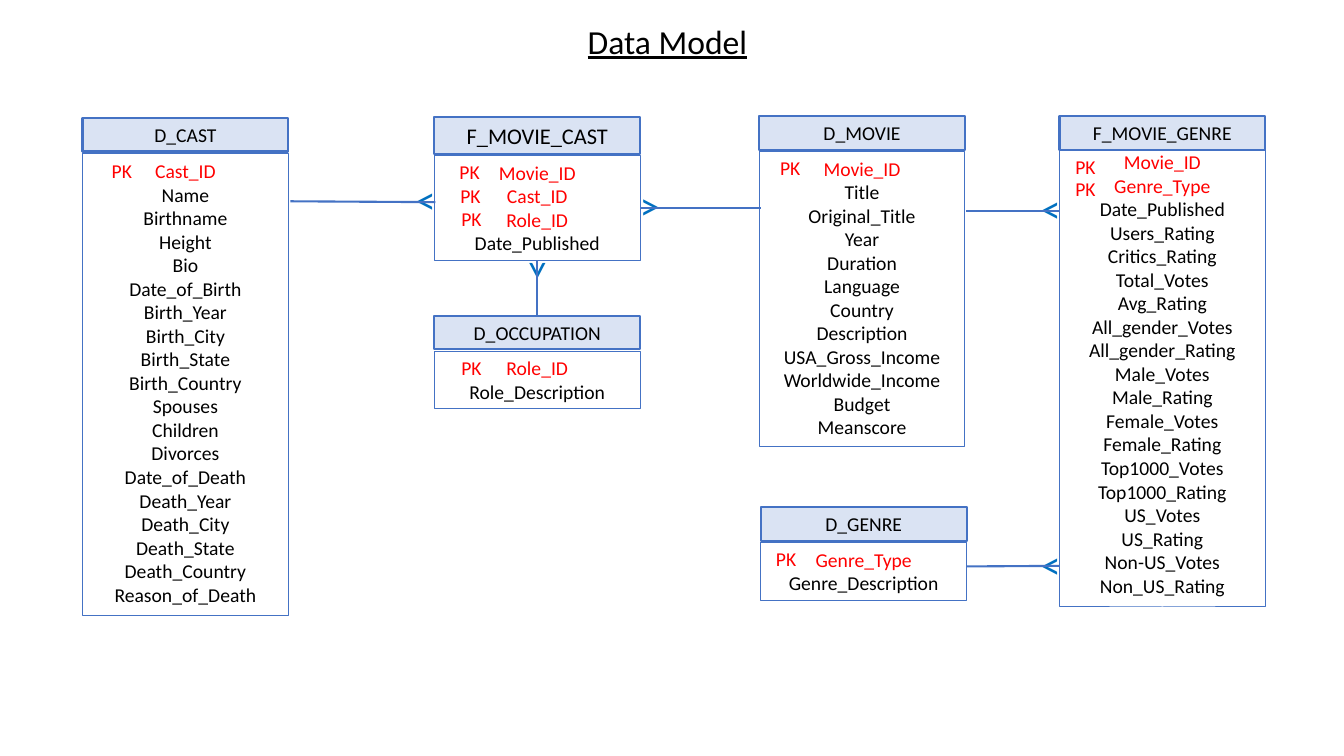
from lxml import etree
from pptx import Presentation
from pptx.dml.color import RGBColor
from pptx.enum.shapes import MSO_CONNECTOR, MSO_SHAPE
from pptx.enum.text import MSO_ANCHOR, PP_ALIGN
from pptx.oxml.ns import qn
from pptx.util import Pt

COLORS = {"text": "000000", "key": "FF0000", "header": "DAE3F3",
          "line": "4472C4", "crow": "0070C0"}
FONT = "Calibri"
TABLE_WIDTH = 147
ROW_HEIGHT = 17
PADDING = 7

TABLES = [
    ("D_CAST", 59, 84.2, 110, 14, ["Cast_ID"],
     "Name Birthname Height Bio Date_of_Birth Birth_Year Birth_City Birth_State "
     "Birth_Country Spouses Children Divorces Date_of_Death Death_Year Death_City "
     "Death_State Death_Country Reason_of_Death"),
    ("F_MOVIE_CAST", 310.3, 83.5, 111.3, 16, ["Movie_ID", "Cast_ID", "Role_ID"],
     "Date_Published"),
    ("D_MOVIE", 542.3, 82.8, 108.2, 14, ["Movie_ID"],
     "Title Original_Title Year Duration Language Country Description "
     "USA_Gross_Income Worldwide_Income Budget Meanscore"),
    ("D_GENRE", 543.5, 362.3, 387.8, 14, ["Genre_Type"], "Genre_Description"),
    ("D_OCCUPATION", 310.3, 225.4, 250.8, 14, ["Role_ID"], "Role_Description"),
    ("F_MOVIE_GENRE", 756.8, 82.8, 103.6, 14, ["Movie_ID", "Genre_Type"],
     "Date_Published Users_Rating Critics_Rating Total_Votes Avg_Rating "
     "All_gender_Votes All_gender_Rating Male_Votes Male_Rating Female_Votes "
     "Female_Rating Top1000_Votes Top1000_Rating US_Votes US_Rating "
     "Non-US_Votes Non_US_Rating"),
]
KEY_MARKS = [(321.1, 111), (321.8, 128), (322.4, 144.2), (72.7, 110.2), (322.4, 250.8),
             (547.2, 387), (550.1, 108), (761, 107), (761, 122.6)]
CROW_FEET = [(290.2, 121.7, 0), (369.4, 174.2, 270), (453.6, 130.3, 180),
             (736.6, 128.2, 0), (736.6, 382.3, 0)]
RELATIONS = [(311, 144.4, 207.4, 143.8), (383.8, 186.5, 383.8, 225.4),
             (457.2, 148.8, 543.6, 148.8), (756.7, 151, 689.8, 151),
             (756.7, 404.2, 690.5, 404.6)]


def rgb(name):
    return RGBColor.from_string(COLORS[name])


def write(shape, lines, size, align, anchor, underline=False):
    frame = shape.text_frame
    frame.word_wrap = True
    frame.vertical_anchor = anchor
    for index, (text, color) in enumerate(lines):
        paragraph = frame.add_paragraph() if index else frame.paragraphs[0]
        paragraph.alignment = align
        run = paragraph.add_run()
        run.text = text
        run.font.name = FONT
        run.font.size = Pt(size)
        run.font.underline = underline
        run.font.color.rgb = rgb(color)


def add_label(slide, text, left, top, width, height, size, color,
              align=PP_ALIGN.LEFT, anchor=MSO_ANCHOR.TOP, rotation=0, underline=False):
    label = slide.shapes.add_textbox(Pt(left), Pt(top), Pt(width), Pt(height))
    label.rotation = rotation
    write(label, [(text, color)], size, align, anchor, underline)


def add_box(slide, left, top, height, lines, size, line_width, fill=None):
    box = slide.shapes.add_shape(MSO_SHAPE.RECTANGLE, Pt(left), Pt(top),
                                 Pt(TABLE_WIDTH), Pt(height))
    box.shadow.inherit = False
    if fill:
        box.fill.solid()
        box.fill.fore_color.rgb = rgb(fill)
    else:
        box.fill.background()
    box.line.color.rgb = rgb("line")
    box.line.width = Pt(line_width)
    write(box, lines, size, PP_ALIGN.CENTER, MSO_ANCHOR.TOP)


def add_entity(slide, name, left, top, body_top, name_size, keys, fields):
    rows = [(key, "key") for key in keys] + [(field, "text") for field in fields.split()]
    add_box(slide, left, body_top, ROW_HEIGHT * len(rows) + PADDING, rows, 14, 0.75)
    header_height = name_size * 1.22 + PADDING
    add_box(slide, left, top, header_height, [(name, "text")], name_size, 1.5, "header")


def add_relation(slide, x1, y1, x2, y2):
    relation = slide.shapes.add_connector(MSO_CONNECTOR.STRAIGHT,
                                          Pt(x1), Pt(y1), Pt(x2), Pt(y2))
    relation.line.color.rgb = rgb("line")
    relation.line.width = Pt(1.5)
    etree.SubElement(relation.element.spPr, qn("a:effectLst"))


def main():
    deck = Presentation()
    deck.slide_width, deck.slide_height = Pt(960), Pt(540)
    slide = deck.slides.add_slide(deck.slide_layouts[6])
    add_label(slide, "Data Model", 304.6, 10.8, 344.2, 36.7, 24, "text",
              PP_ALIGN.CENTER, MSO_ANCHOR.MIDDLE, underline=True)
    for table in TABLES:
        add_entity(slide, *table)
    for left, top, rotation in CROW_FEET:
        add_label(slide, "<", left, top, 24.5, 41, 28, "crow", rotation=rotation)
    for left, top in KEY_MARKS:
        add_label(slide, "PK", left, top, 33.8, 24.5, 14, "key")
    for relation in RELATIONS:
        add_relation(slide, *relation)
    deck.save("out.pptx")


main()
